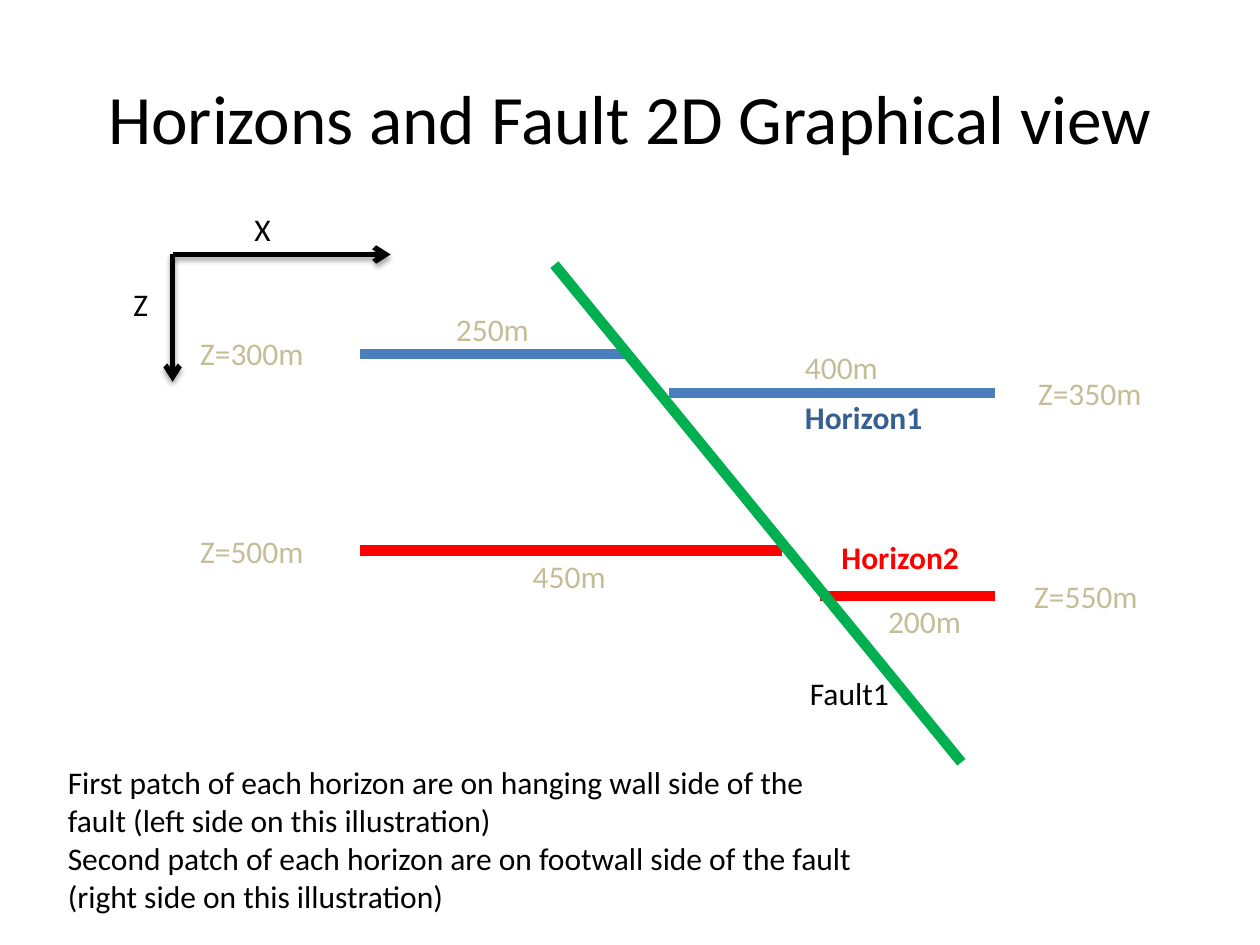
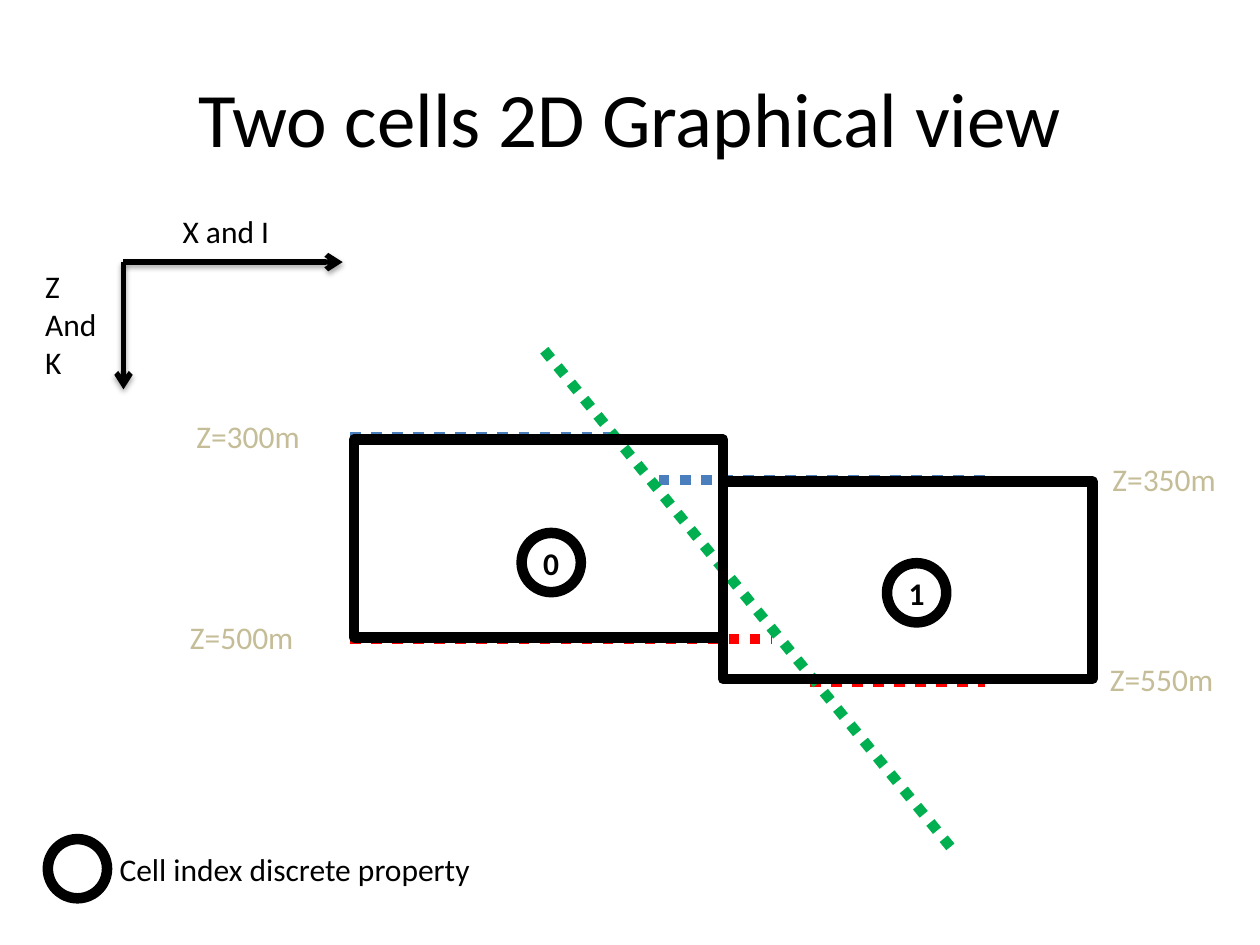
from dataclasses import dataclass

from lxml import etree
from pptx import Presentation
from pptx.dml.color import RGBColor
from pptx.enum.dml import MSO_LINE
from pptx.enum.shapes import MSO_CONNECTOR, MSO_SHAPE
from pptx.enum.text import MSO_ANCHOR, MSO_AUTO_SIZE, PP_ALIGN
from pptx.oxml.ns import qn
from pptx.util import Inches, Pt

STRAIGHT = MSO_CONNECTOR.STRAIGHT
RECTANGLE, OVAL = MSO_SHAPE.RECTANGLE, MSO_SHAPE.OVAL
DOTTED = MSO_LINE.ROUND_DOT
MIDDLE, CENTER = MSO_ANCHOR.MIDDLE, PP_ALIGN.CENTER
GROW = MSO_AUTO_SIZE.SHAPE_TO_FIT_TEXT
TITLE_ONLY = 5


@dataclass(frozen=True)
class Theme:
    font: str = "Calibri"
    black: str = "000000"
    horizon1: str = "4B7EBC"
    horizon1_label: str = "376092"
    horizon2: str = "FF0000"
    fault: str = "00B050"
    measure: str = "C4BD97"
    title_size: float = 44
    small_title_size: float = 39.6
    text_size: float = 18
    thick: float = 6
    thin: float = 3


THEME = Theme()


def add_span(para, text, color=THEME.black, size=THEME.text_size, bold=False):
    span = para.add_run()
    span.text = text
    span.font.name = THEME.font
    span.font.size = Pt(size)
    span.font.bold = bold
    span.font.color.rgb = RGBColor.from_string(color)


def add_label(page, box, *lines, color=THEME.black, bold=False):
    label = page.shapes.add_textbox(*map(Inches, box))
    frame = label.text_frame
    frame.word_wrap = True
    frame.auto_size = GROW
    for index, line in enumerate(lines):
        para = frame.add_paragraph() if index else frame.paragraphs[0]
        add_span(para, line, color, bold=bold)


def add_line(page, start, end, color, width, dash=None):
    line = page.shapes.add_connector(STRAIGHT, *map(Inches, (*start, *end)))
    line.line.color.rgb = RGBColor.from_string(color)
    line.line.width = Pt(width)
    if dash is not None:
        line.line.dash_style = dash
    effects = etree.SubElement(line._element.spPr, qn("a:effectLst"))
    return line, effects


def add_arrow(page, start, end):
    arrow, effects = add_line(page, start, end, THEME.black, THEME.thin)
    etree.SubElement(arrow.line._get_or_add_ln(), qn("a:tailEnd"), type="arrow")
    shadow = etree.SubElement(
        effects, qn("a:outerShdw"), blurRad=str(Pt(3.1)), dist=str(Pt(1.8)),
        dir="5400000", rotWithShape="0")
    tint = etree.SubElement(shadow, qn("a:srgbClr"), val=THEME.black)
    etree.SubElement(tint, qn("a:alpha"), val="35000")


def add_outline(page, kind, box, text=""):
    outline = page.shapes.add_shape(kind, *map(Inches, box))
    outline.shadow.inherit = False
    outline.fill.background()
    outline.line.color.rgb = RGBColor.from_string(THEME.black)
    outline.line.width = Pt(THEME.thick)
    if text:
        outline.text_frame.vertical_anchor = MIDDLE
        para = outline.text_frame.paragraphs[0]
        para.alignment = CENTER
        add_span(para, text, bold=True)


def add_page(deck, title, size):
    page = deck.slides.add_slide(deck.slide_layouts[TITLE_ONLY])
    holder = page.shapes.title
    holder.left, holder.top, holder.width, holder.height = map(
        Inches, (0.5, 0.3, 9, 1.25))
    holder.text_frame.vertical_anchor = MIDDLE
    para = holder.text_frame.paragraphs[0]
    para.alignment = CENTER
    add_span(para, title, size=size)
    return page


def add_axes(page, left, top, length):
    add_arrow(page, (left, top), (left + length, top))
    add_arrow(page, (left, top), (left, top + 1.01))


def add_section(page, left, top, depths, dash=None):
    patches = (
        (0, 2.13, THEME.horizon1),
        (2.45, 5.04, THEME.horizon1),
        (0, 3.35, THEME.horizon2),
        (3.65, 5.04, THEME.horizon2),
    )
    for (start, end, color), depth in zip(patches, depths):
        add_line(page, (left + start, top + depth), (left + end, top + depth),
                 color, THEME.thick, dash)
    add_line(page, (left + 1.54, top), (left + 4.77, top + 3.95),
             THEME.fault, THEME.thick, dash)


def add_measures(page, measures):
    for text, left, top, width in measures:
        add_label(page, (left, top, width, 0.4), text, color=THEME.measure)


def add_cell(page, left, top, badge_left, badge_top, index):
    add_outline(page, RECTANGLE, (left, top, 2.93, 1.57))
    add_badge(page, left + badge_left, top + badge_top, index)


def add_badge(page, left, top, text=""):
    add_outline(page, OVAL, (left, top, 0.47, 0.47), text)


def build_horizons(deck):
    page = add_page(deck, "Horizons and Fault 2D Graphical view",
                    THEME.small_title_size)
    add_section(page, 2.86, 2.1, (0.71, 1.02, 2.27, 2.63))
    add_label(page, (6.29, 3.11, 1.34, 0.4), "Horizon1",
              color=THEME.horizon1_label, bold=True)
    add_label(page, (6.58, 4.22, 1.34, 0.4), "Horizon2",
              color=THEME.horizon2, bold=True)
    add_label(page, (6.33, 5.3, 0.9, 0.4), "Fault1")
    add_axes(page, 1.37, 2.02, 1.73)
    add_label(page, (1.92, 1.62, 0.39, 0.4), "X")
    add_label(page, (0.96, 2.21, 0.39, 0.4), "Z")
    add_measures(page, (
        ("250m", 3.52, 2.41, 0.87),
        ("400m", 6.29, 2.71, 0.87),
        ("450m", 4.13, 4.37, 0.87),
        ("200m", 6.95, 4.73, 0.87),
        ("Z=300m", 1.49, 2.6, 1.1),
        ("Z=350m", 8.14, 2.92, 1.03),
        ("Z=500m", 1.49, 4.17, 1.04),
        ("Z=550m", 8.11, 4.53, 1.06),
    ))
    add_label(
        page, (0.44, 6.01, 6.54, 1.31),
        "First patch of each horizon are on hanging wall side of the fault "
        "(left side on this illustration)",
        "Second patch of each horizon are on footwall side of the fault "
        "(right side on this illustration)")


def build_cells(deck):
    page = add_page(deck, "Two cells 2D Graphical view", THEME.title_size)
    add_section(page, 2.78, 2.78, (0.69, 1.03, 2.29, 2.63), DOTTED)
    add_axes(page, 0.98, 2.08, 1.74)
    add_label(page, (1.35, 1.63, 1.01, 0.4), "X and I")
    add_label(page, (0.26, 2.07, 0.71, 1.01), "Z", "And", "K")
    add_measures(page, (
        ("Z=300m", 1.46, 3.26, 1.1),
        ("Z=350m", 8.73, 3.6, 1.03),
        ("Z=500m", 1.41, 4.86, 1.04),
        ("Z=550m", 8.71, 5.19, 1.06),
    ))
    add_cell(page, 2.81, 3.49, 1.33, 0.74, "0")
    add_cell(page, 5.74, 3.82, 1.3, 0.65, "1")
    add_badge(page, 0.38, 6.66)
    add_label(page, (0.85, 6.7, 3.21, 0.4), "Cell index discrete property")


def main():
    deck = Presentation()
    deck.slide_width, deck.slide_height = Inches(10), Inches(7.5)
    build_horizons(deck)
    build_cells(deck)
    deck.save("out.pptx")


if __name__ == "__main__":
    main()
